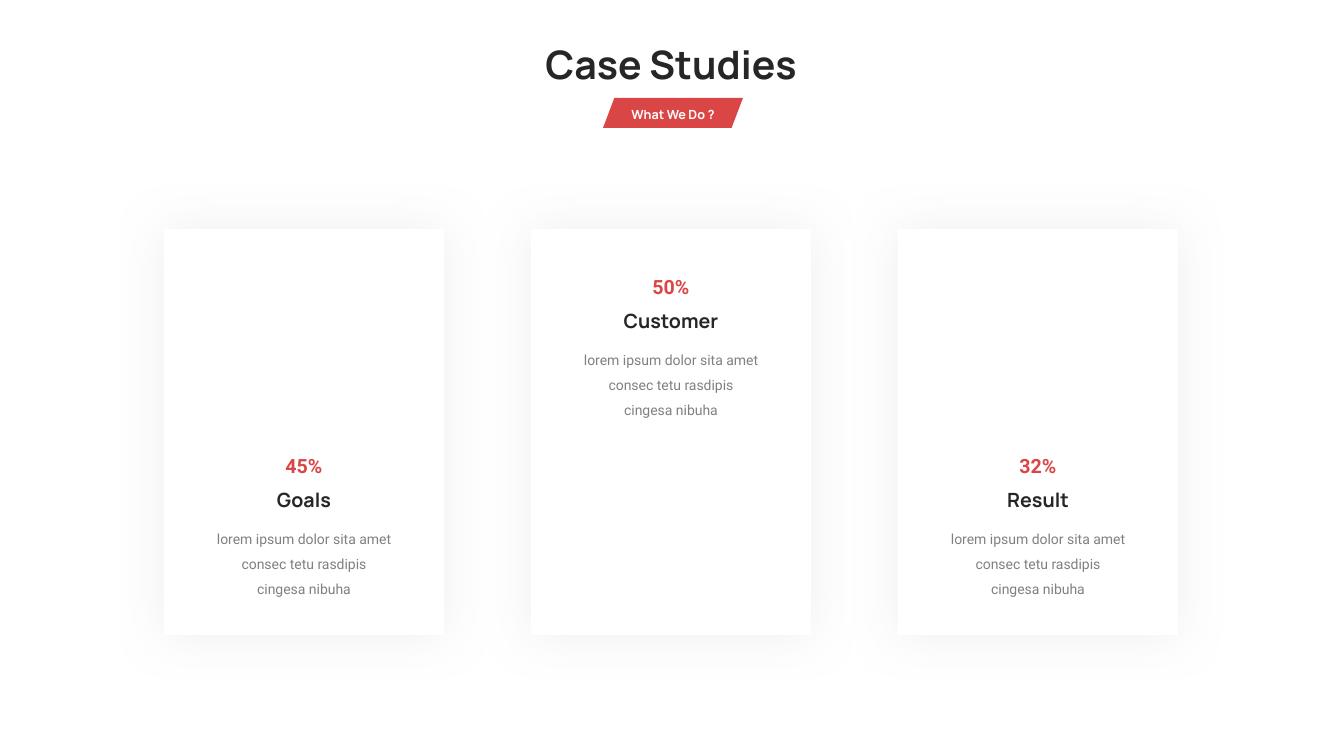
from lxml import etree
from pptx import Presentation, util as u
from pptx.dml.color import RGBColor
from pptx.enum import shapes, text
from pptx.oxml.ns import qn

PX = 914400 / 100.8
COLORS = {"white": "FFFFFF", "dark": "262626", "red": "DA4646",
          "grey": "808080", "shadow": "D9D9D9"}
BODY = "lorem ipsum dolor sita amet consec tetu rasdipis cingesa nibuha"
# Heading, share, top of the text inside the card
CARDS = [("Goals", "45%", 220), ("Customer", "50%", 41), ("Result", "32%", 220)]


def px(*lengths):
    return [u.Emu(round(n * PX)) for n in lengths]


def rgb(name):
    return RGBColor.from_string(COLORS[name])


def write(sp, words, size, font, color, bold=True, spacing=None, wrap=True):
    tf = sp.text_frame
    tf.text = words
    tf.word_wrap = wrap
    tf.auto_size = text.MSO_AUTO_SIZE.SHAPE_TO_FIT_TEXT
    tf.vertical_anchor = text.MSO_ANCHOR.TOP
    p = tf.paragraphs[0]
    p.alignment = text.PP_ALIGN.CENTER
    if spacing:
        p.line_spacing = spacing
    r = p.runs[0]
    r.font.size = u.Pt(size)
    r.font.name = font
    r.font.bold = bold
    r.font.color.rgb = rgb(color)


def add_block(s, kind, box, color):
    sp = s.shapes.add_shape(kind, *px(*box))
    sp.shadow.inherit = False
    sp.fill.solid()
    sp.fill.fore_color.rgb = rgb(color)
    sp.line.fill.background()
    return sp


def add_glow_shadow(sp, blur, alpha):
    effects = sp._element.spPr.find(qn("a:effectLst"))
    shadow = etree.SubElement(effects, qn("a:outerShdw"), blurRad=str(u.Pt(blur)),
                              dist="0", dir="0", algn="ctr", rotWithShape="0")
    clr = etree.SubElement(shadow, qn("a:srgbClr"), val=COLORS["shadow"])
    etree.SubElement(clr, qn("a:alpha"), val=str(alpha * 1000))


def add_header(s, x, y, w):
    # Title
    title = s.shapes.title
    title.left, title.top, title.width, title.height = px(x, y, w, 58)
    write(title, "Case Studies", 28, "Manrope", "dark")
    # Badge
    badge = add_block(s, shapes.MSO_SHAPE.PARALLELOGRAM, (x + 80, y + 63, 140, 30), "red")
    badge.adjustments[0] = 0.38
    label = s.shapes.add_textbox(*px(x + 92, y + 67, 116, 25))
    write(label, "What We Do ?", 9, "Manrope", "white", wrap=False)


def add_card(s, x, y, w, h, heading, share, text_top):
    card = add_block(s, shapes.MSO_SHAPE.RECTANGLE, (x, y, w, h), "white")
    add_glow_shadow(card, 35, 40)

    def add_line(offset, width, height, *style, **options):
        left = x + (w - width) / 2
        sp = s.shapes.add_textbox(*px(left, y + text_top + offset, width, height))
        write(sp, *style, **options)

    add_line(0, 68, 34, share, 14, "Roboto", "red")
    add_line(34, 138, 34, heading, 14, "Manrope", "dark")
    add_line(68, 194, 87, BODY, 10, "Roboto", "grey", bold=False, spacing=1.5)


def main():
    prs = Presentation()
    prs.slide_width, prs.slide_height = px(1344, 756)
    s = prs.slides.add_slide(prs.slide_layouts[5])
    add_header(s, 523, 35, 296)
    # Three evenly spaced cards
    for i, card in enumerate(CARDS):
        add_card(s, 164 + 367 * i, 229, 280, 406, *card)
    prs.save("out.pptx")


if __name__ == "__main__":
    main()
